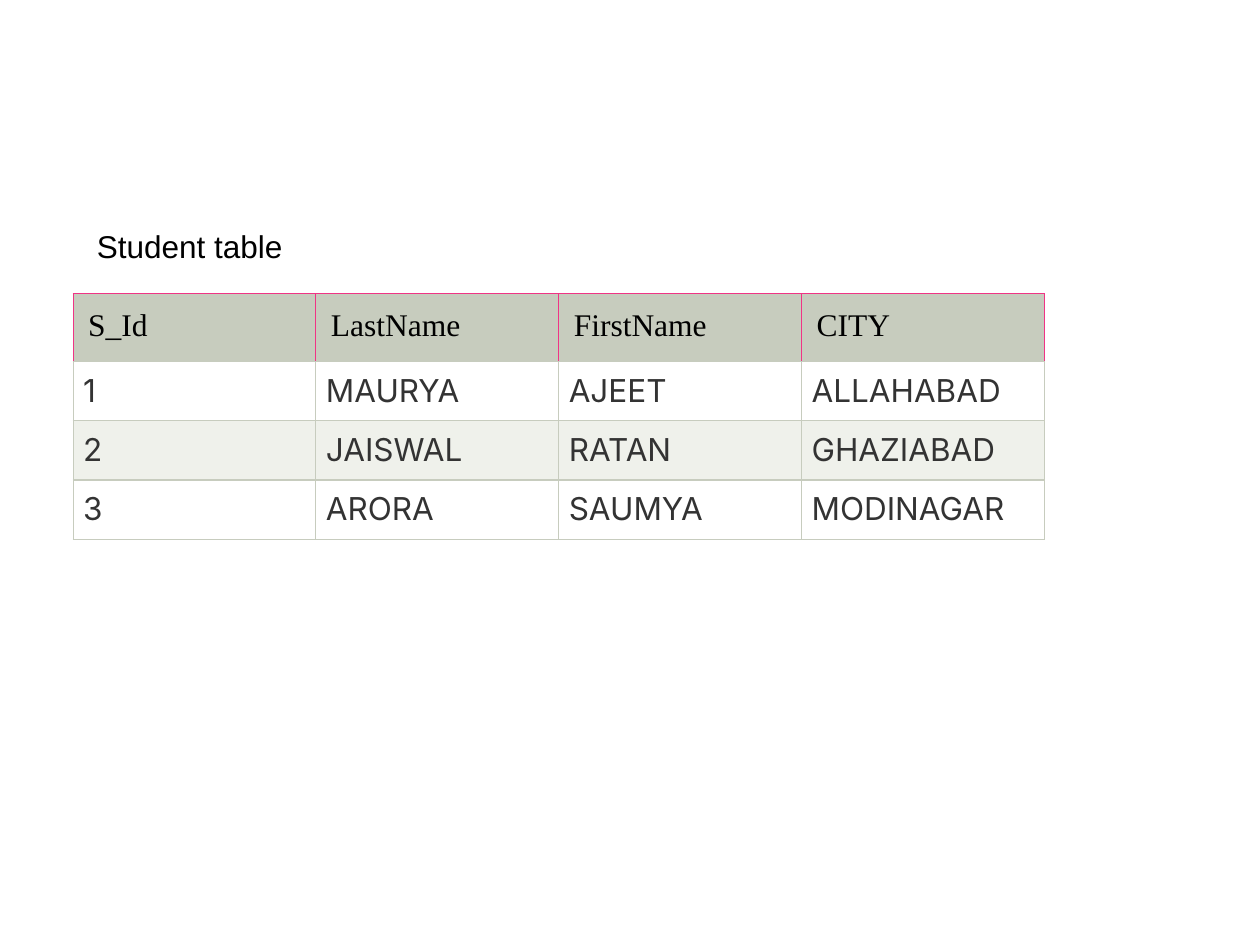
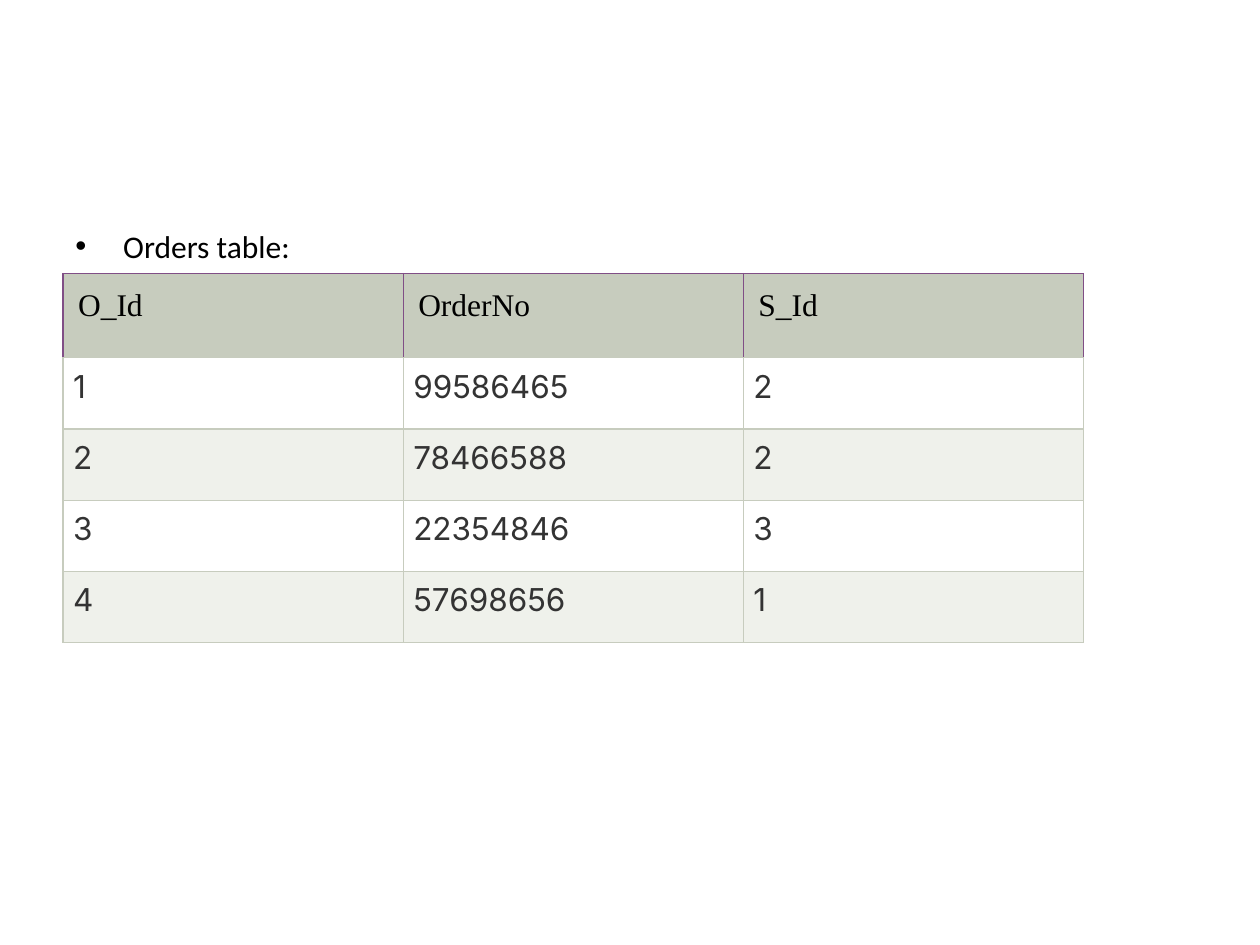
from lxml import etree
from pptx import Presentation
from pptx import util as u
from pptx.dml.color import RGBColor
from pptx.enum import text
from pptx.oxml import ns

prs = Presentation()
prs.slide_width, prs.slide_height = u.Inches(10), u.Inches(7.5)
COL, ROW = prs.slide_width / 100, prs.slide_height / 75
BLACK, INK, WHITE, BAND, SAGE = "000000", "333333", "FFFFFF", "EFF1EB", "C7CCBE"


def rgb(c):
    return RGBColor.from_string(c)


def write(p, words, font, color):
    r = p.add_run()
    r.text = words
    r.font.name, r.font.size = font, u.Pt(18)
    r.font.color.rgb = rgb(color)


slides = [
    dict(label="Student table", font="Arial", label_at=(6.7, 17.5, 16.9, 4),
         bullet=False, table_at=(5.8, 23.3, 77.1), heights=(5.3, 4.7), edge="F03485",
         rows=[("S_Id", "LastName", "FirstName", "CITY"),
               ("1", "MAURYA", "AJEET", "ALLAHABAD"),
               ("2", "JAISWAL", "RATAN", "GHAZIABAD"),
               ("3", "ARORA", "SAUMYA", "MODINAGAR")]),
    dict(label="Orders table:", font="Calibri", label_at=(5, 17.5, 90, 49.5),
         bullet=True, table_at=(5, 21.7, 81), heights=(6.7, 5.65), edge="804E86",
         rows=[("O_Id", "OrderNo", "S_Id"),
               ("1", "99586465", "2"),
               ("2", "78466588", "2"),
               ("3", "22354846", "3"),
               ("4", "57698656", "1")]),
]

for d in slides:
    s = prs.slides.add_slide(prs.slide_layouts[6])
    s.background.fill.solid()
    s.background.fill.fore_color.rgb = rgb(WHITE)

    x, y, w, h = d["label_at"]
    sp = s.shapes.add_textbox(int(x * COL), int(y * ROW), int(w * COL), int(h * ROW))
    tf = sp.text_frame
    p = tf.paragraphs[0]
    tf.word_wrap = d["bullet"]
    if d["bullet"]:
        pPr = p._p.get_or_add_pPr()
        pPr.set("marL", str(u.Inches(0.38)))
        pPr.set("indent", str(-u.Inches(0.38)))
        before = etree.SubElement(pPr, ns.qn("a:spcBef"))
        etree.SubElement(before, ns.qn("a:spcPct"), val="20000")
        etree.SubElement(pPr, ns.qn("a:buFont"), typeface="Arial")
        etree.SubElement(pPr, ns.qn("a:buChar"), char="•")
    else:
        sp.fill.solid()
        sp.fill.fore_color.rgb = rgb(WHITE)
        tf.vertical_anchor = text.MSO_ANCHOR.MIDDLE
        tf.auto_size = text.MSO_AUTO_SIZE.SHAPE_TO_FIT_TEXT
        p.alignment = text.PP_ALIGN.JUSTIFY
    write(p, d["label"], d["font"], BLACK)

    rows = d["rows"]
    x, y, w = d["table_at"]
    head, body = d["heights"]
    h = head + body * (len(rows) - 1)
    table = s.shapes.add_table(len(rows), len(rows[0]), int(x * COL), int(y * ROW),
                               int(w * COL), int(h * ROW)).table
    table.first_row = table.horz_banding = False
    for i, row in enumerate(rows):
        is_head = i == 0
        table.rows[i].height = int((head if is_head else body) * ROW)
        fill = SAGE if is_head else (BAND, WHITE)[i % 2]
        for j, words in enumerate(row):
            cell = table.cell(i, j)
            inset = u.Inches(0.12 if is_head else 0.08)
            cell.margin_left = cell.margin_right = inset
            cell.margin_top = cell.margin_bottom = inset
            tcPr = cell._tc.get_or_add_tcPr()
            for side in "LRTB":
                ln = etree.SubElement(tcPr, ns.qn("a:ln" + side), w=str(u.Pt(0.75)))
                line = etree.SubElement(ln, ns.qn("a:solidFill"))
                color = d["edge"] if is_head and side != "B" else SAGE
                etree.SubElement(line, ns.qn("a:srgbClr"), val=color)
            cell.fill.solid()
            cell.fill.fore_color.rgb = rgb(fill)
            p = cell.text_frame.paragraphs[0]
            if is_head:
                write(p, words, "Times New Roman", BLACK)
            else:
                p.alignment = text.PP_ALIGN.JUSTIFY
                write(p, words, "Inter", INK)

prs.save("out.pptx")
